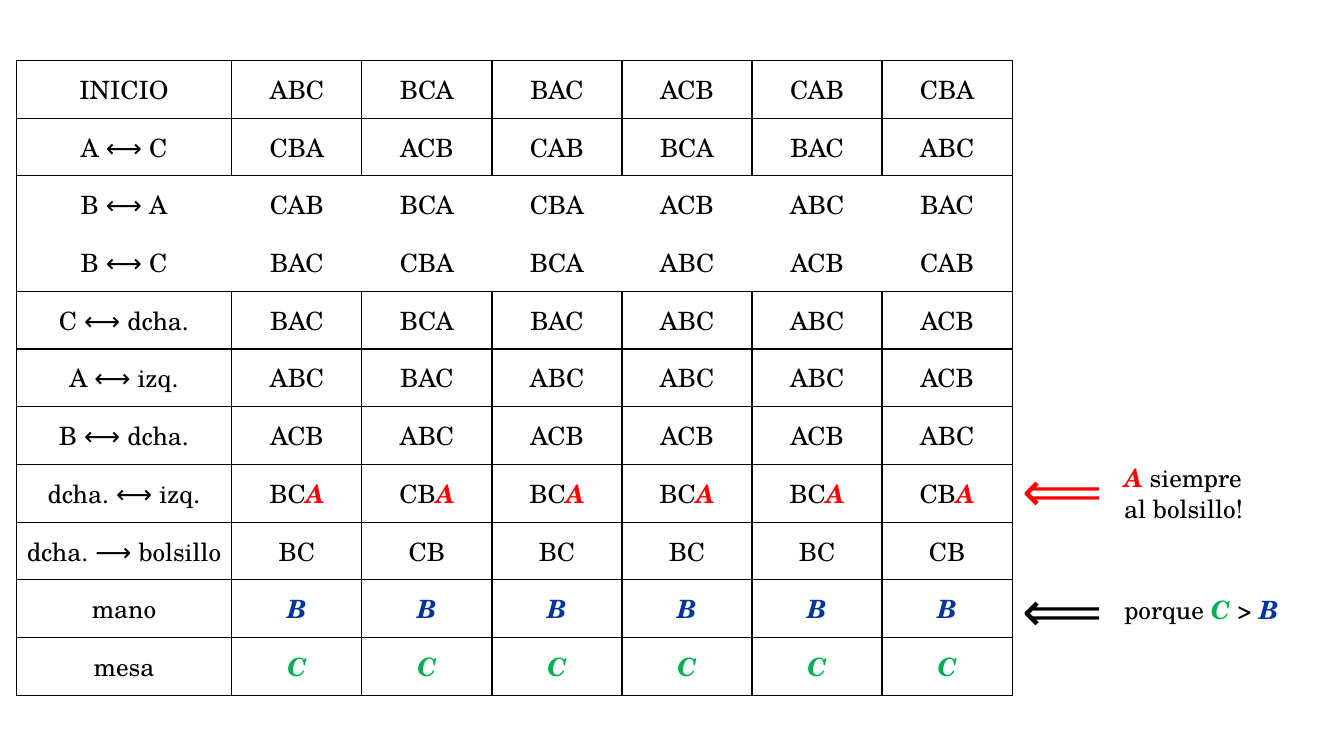
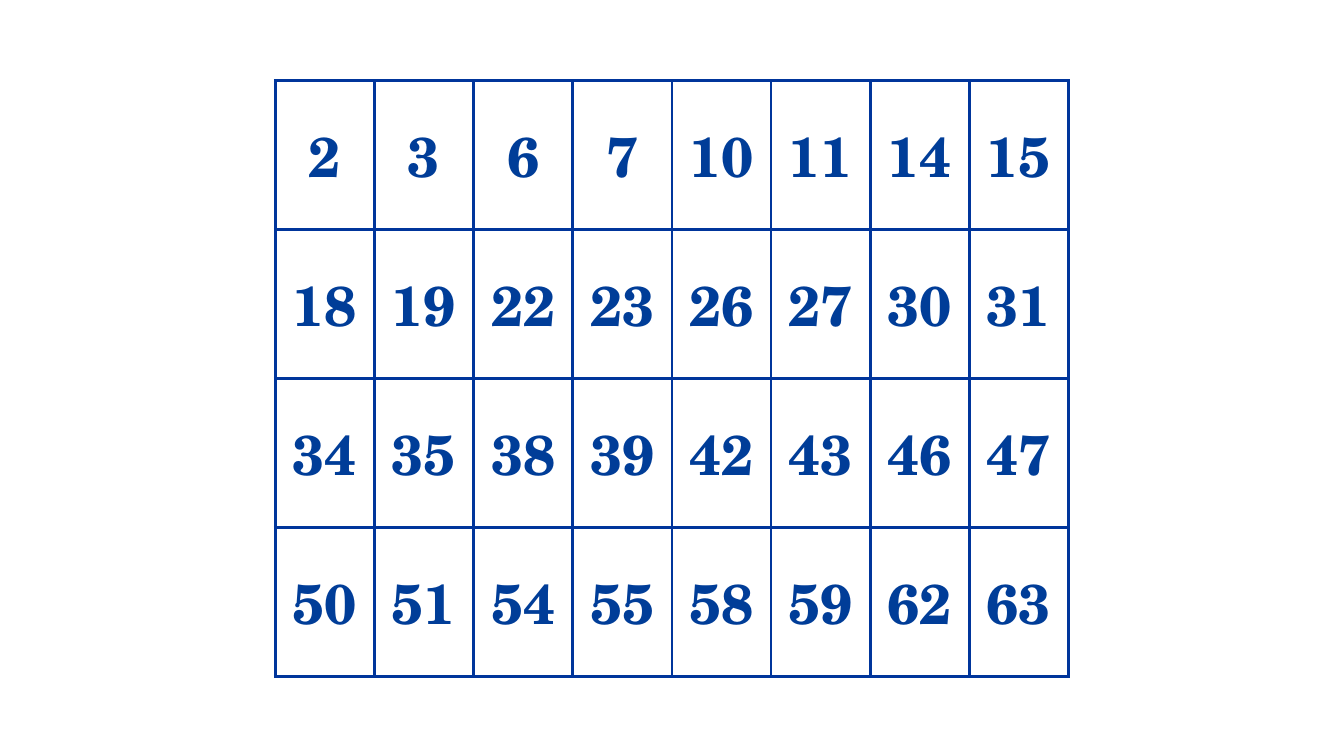
from pptx import Presentation
from pptx.dml.color import RGBColor
from pptx.enum.text import MSO_ANCHOR, PP_ALIGN
from pptx.oxml.ns import qn
from pptx.util import Inches, Pt
from lxml.etree import SubElement

# Shared look
FONT, SIGN = "TeX Gyre Schola", "Cabin"
BLACK, RED, GREEN, BLUE, NAVY = "000000", "FF0000", "00B050", "00359B", "003D98"

# Content: a run is (text, colour, bold, italic)
A, B, C = ("A", RED, True, True), ("B", BLUE, True, True), ("C", GREEN, True, True)
MOVES = [
    ("INICIO", "ABC BCA BAC ACB CAB CBA"),
    ("A ⟷ C", "CBA ACB CAB BCA BAC ABC"),
    ("B ⟷ A", "CAB BCA CBA ACB ABC BAC"),
    ("B ⟷ C", "BAC CBA BCA ABC ACB CAB"),
    ("C ⟷ dcha.", "BAC BCA BAC ABC ABC ACB"),
    ("A ⟷ izq.", "ABC BAC ABC ABC ABC ACB"),
    ("B ⟷ dcha.", "ACB ABC ACB ACB ACB ABC"),
    ("dcha. ⟷ izq.", "BC CB BC BC BC CB"),
    ("dcha. ⟶ bolsillo", "BC CB BC BC BC CB"),
    ("mano", "B B B B B B"),
    ("mesa", "C C C C C C"),
]
POCKET, HAND, DESK = 7, 9, 10
OPEN = (2, 3)  # rows that share one frame
NOTES = [  # note box, arrow top, arrow colour, runs
    ((11.05, 4.54, 1.39, 0.71), 4.47, RED, [A, (" siempre al bolsillo!", BLACK)]),
    ((11.05, 5.85, 1.8, 0.4), 5.66, BLACK, [("porque ", BLACK), C, (" > ", BLACK), B]),
]
CARD = [n for n in range(64) if n & 2]  # numbers whose second bit is set
WIDE = 8


def color(code):
    return RGBColor.from_string(code)


def write(par, runs, size, face=FONT):
    for text, code, *style in runs:
        run = par.add_run()
        run.text = text
        font = run.font
        font.name, font.size = face, Pt(size)
        font.color.rgb = color(code)
        font.bold, font.italic = style or (False, False)


def label(slide, box, runs, size, face=FONT):
    frame = slide.shapes.add_textbox(*map(Inches, box)).text_frame
    frame.word_wrap = True
    write(frame.paragraphs[0], runs, size, face)


def border(cell, sides, code, width):
    """Draw the given sides of a cell and clear the others."""
    props = cell._tc.get_or_add_tcPr()
    for spot, side in enumerate("LRTB"):
        line = SubElement(props, qn("a:ln" + side), w=str(Pt(width)))
        props.remove(line)
        props.insert(spot, line)
        if side in sides:
            fill = SubElement(line, qn("a:solidFill"))
            SubElement(fill, qn("a:srgbClr"), val=code)
        else:
            SubElement(line, qn("a:noFill"))


def grid(slide, box, cols, rows, size, code, width, sides, pad=0.05):
    """Add a table; sides(row, col) names the drawn borders of a cell."""
    frame = slide.shapes.add_table(len(rows), len(cols), *map(Inches, box))
    table = frame.table
    table.first_row = table.horz_banding = False
    for col, wide in zip(table.columns, cols):
        col.width = Inches(wide)
    for r, row in enumerate(rows):
        table.rows[r].height = Inches(box[3] / len(rows))
        for c, runs in enumerate(row):
            cell = table.cell(r, c)
            cell.fill.background()
            border(cell, sides(r, c), code, width)
            cell.vertical_anchor = MSO_ANCHOR.MIDDLE
            cell.margin_top = cell.margin_bottom = Inches(pad)
            par = cell.text_frame.paragraphs[0]
            par.alignment = PP_ALIGN.CENTER
            write(par, runs, size)


def cells(r, name, items):
    """Runs of one row of moves, with its marked letters."""
    row = [[(name, BLACK)]]
    for item in items.split():
        plain = [(item, BLACK)]
        row.append({POCKET: plain + [A], HAND: [B], DESK: [C]}.get(r, plain))
    return row


def frame(r, c):
    """Borders of a move cell: open rows keep only the outer frame."""
    if r not in OPEN:
        top = "" if r - 1 in OPEN and r in OPEN else "T"
        return "LRB" + top
    return (("L" if c == 0 else "") + ("R" if c == 6 else "")
            + ("T" if r == OPEN[0] else "B"))


def moves(slide):
    rows = [cells(r, *move) for r, move in enumerate(MOVES)]
    grid(slide, (0.16, 0.6, 9.89, 6.3), [2.14] + [1.29] * 6, rows,
         18, BLACK, 1, frame)
    for box, top, code, runs in NOTES:
        label(slide, box, runs, 18)
        label(slide, (10.04, top, 1.01, 0.77), [("⟸", code)], 40, SIGN)


def card(slide):
    runs = [[(str(n), NAVY, True, False)] for n in CARD]
    rows = [runs[i:i + WIDE] for i in range(0, len(runs), WIDE)]
    grid(slide, (2.73, 0.8, 7.87, 5.91), [7.87 / WIDE] * WIDE, rows,
         40, BLUE, 2.25, lambda r, c: "LRTB", 0.1)


def main():
    deck = Presentation()
    deck.slide_width, deck.slide_height = Inches(13.33), Inches(7.5)
    for build in (moves, card):
        build(deck.slides.add_slide(deck.slide_layouts[6]))
    deck.save("out.pptx")


if __name__ == "__main__":
    main()
